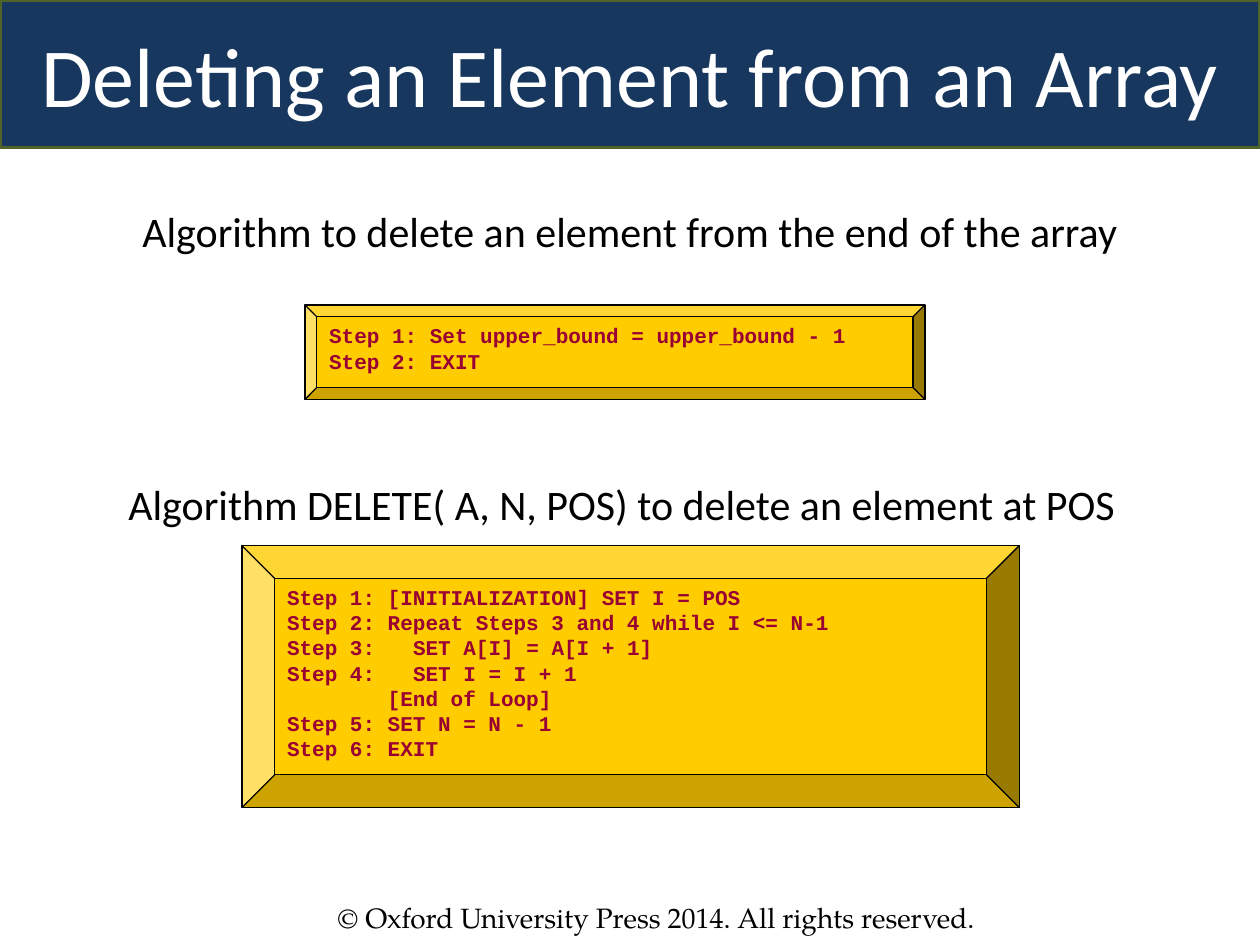
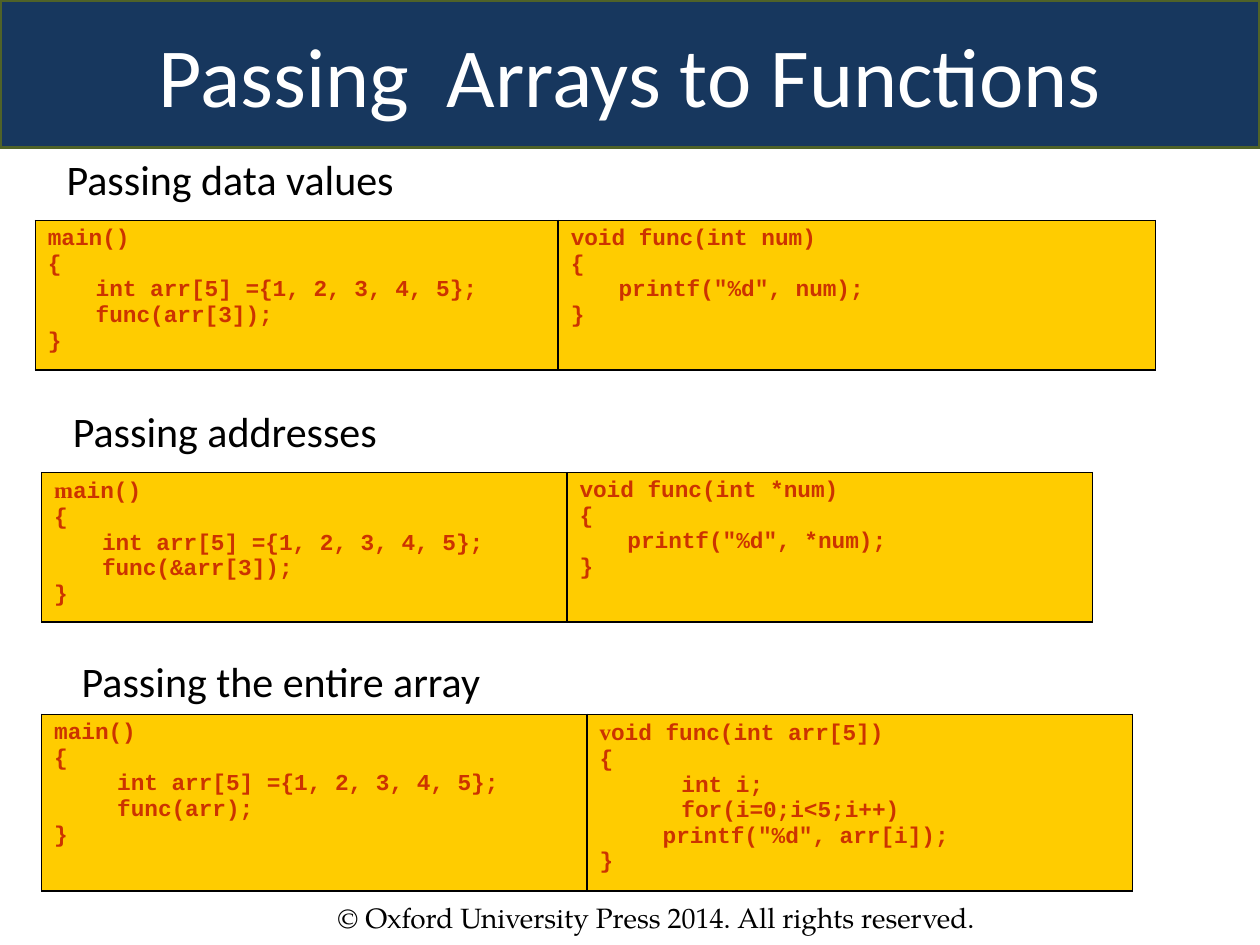
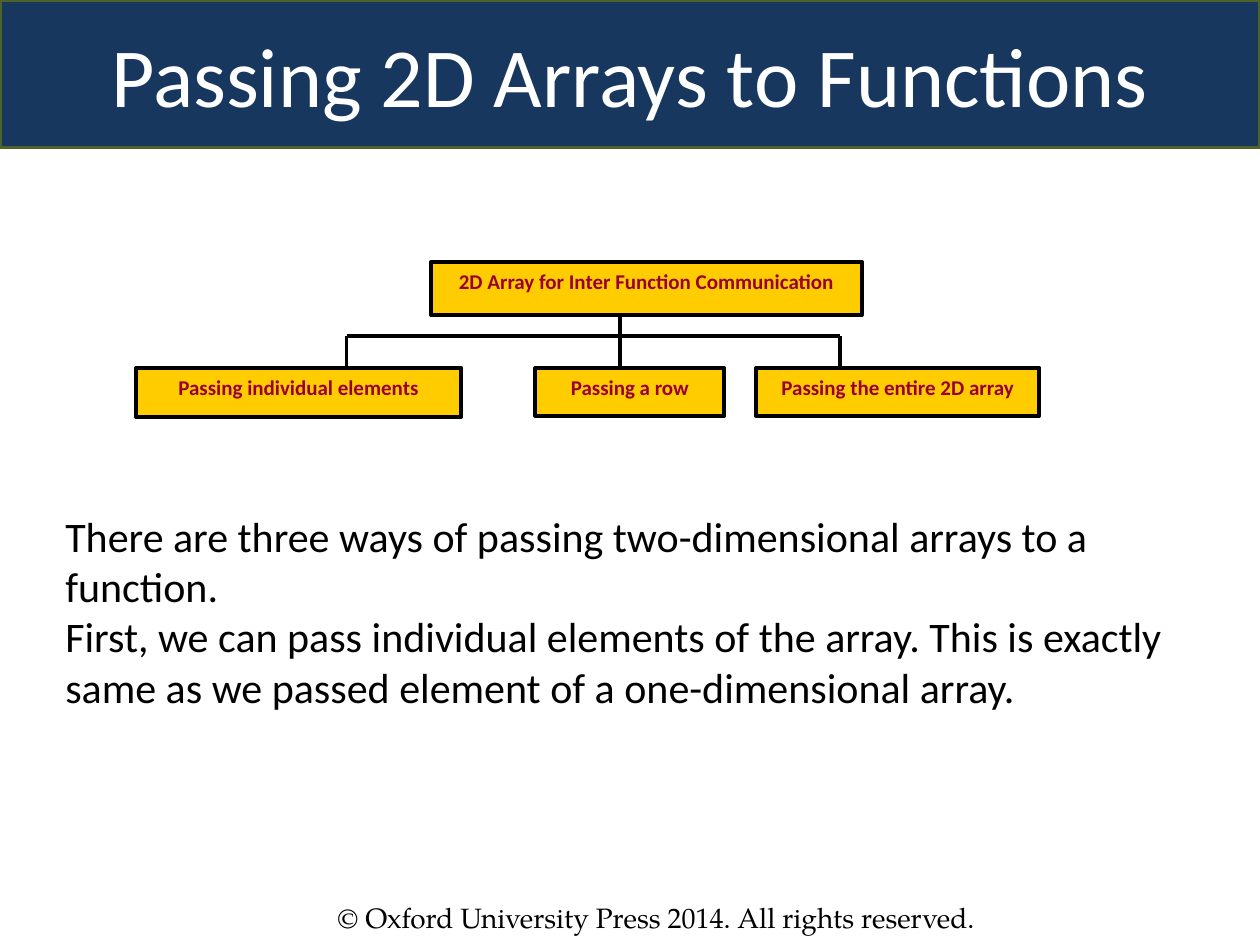
import pptx
import pptx.dml.color
import pptx.enum.shapes
import pptx.enum.text
import pptx.oxml
import pptx.util
from pptx.util import Inches

SHAPE = pptx.enum.shapes.MSO_SHAPE
ALIGN = pptx.enum.text.PP_ALIGN
ANCHOR = pptx.enum.text.MSO_ANCHOR
NS = 'xmlns:a="http://schemas.openxmlformats.org/drawingml/2006/main"'

NAVY, OLIVE, GOLD = "17375E", "4F6228", "FFCC00"
MAROON, RUST = "990033", "CC3300"
BLACK, WHITE = "000000", "FFFFFF"
SANS, MONO, SERIF, FOOT = "Calibri", "Courier New", "Times New Roman", "TeX Gyre Pagella"


def rgb(hex_string):
    return pptx.dml.color.RGBColor.from_string(hex_string)


class Deck:
    """Holds the shared style and the slide being built."""

    def __init__(self):
        self.prs = pptx.Presentation()
        self.prs.slide_width, self.prs.slide_height = Inches(10), Inches(7.5)
        self.s = None

    def slide(self, title):
        self.s = self.prs.slides.add_slide(self.prs.slide_layouts[6])
        self.text(2.58, 7.1, 5.92, 0.37,
                  ["© Oxford University Press 2014. All rights reserved."], 16, FOOT)
        band = self.shape(SHAPE.ROUNDED_RECTANGLE, 0, 0, 10, 1.17, NAVY, OLIVE, 2)
        band.adjustments[0] = 0
        band.text_frame.vertical_anchor = ANCHOR.MIDDLE
        self.fill_text(band.text_frame, [title], 48, SANS, WHITE, align=ALIGN.CENTER)

    def fill_text(self, tf, lines, size, font, color, bold=False,
                  align=ALIGN.LEFT, hang=0, serif_initial=False):
        tf.word_wrap = True
        for i, line in enumerate(lines):
            p = tf.paragraphs[0] if i == 0 else tf.add_paragraph()
            p.alignment = align
            if hang:
                pPr = p._p.get_or_add_pPr()
                pPr.set("marL", str(Inches(hang)))
                pPr.set("indent", str(-Inches(hang)))
            if serif_initial and i == 0:
                for part, face in ((line[0], SERIF), (line[1:], font)):
                    r = p.add_run()
                    r.text, r.font.name = part, face
            else:
                p.add_run().text = line
                p.font.name = font
            p.font.size = pptx.util.Pt(size)
            p.font.bold = bold
            p.font.color.rgb = rgb(color)

    def text(self, x, y, w, h, lines, size=24, font=SANS, align=ALIGN.LEFT):
        sp = self.s.shapes.add_textbox(Inches(x), Inches(y), Inches(w), Inches(h))
        self.fill_text(sp.text_frame, lines, size, font, BLACK, align=align)

    def shape(self, kind, x, y, w, h, fill, line, width):
        sp = self.s.shapes.add_shape(kind, Inches(x), Inches(y), Inches(w), Inches(h))
        sp.shadow.inherit = False
        sp.fill.solid()
        sp.fill.fore_color.rgb = rgb(fill)
        sp.line.color.rgb = rgb(line)
        sp.line.width = pptx.util.Pt(width)
        sp.text_frame.vertical_anchor = ANCHOR.TOP
        return sp

    def algorithm(self, x, y, w, h, steps):
        sp = self.shape(SHAPE.BEVEL, x, y, w, h, GOLD, BLACK, 0.75)
        self.fill_text(sp.text_frame, steps, 12, MONO, MAROON, bold=True)

    def node(self, x, y, w, h, label):
        sp = self.shape(SHAPE.RECTANGLE, x, y, w, h, GOLD, BLACK, 2.25)
        self.fill_text(sp.text_frame, [label], 12, SANS, MAROON, True, ALIGN.CENTER)

    def line(self, x1, y1, x2, y2):
        c = self.s.shapes.add_connector(pptx.enum.shapes.MSO_CONNECTOR.STRAIGHT,
                                        Inches(x1), Inches(y1), Inches(x2), Inches(y2))
        c.line.color.rgb = rgb(BLACK)
        c.line.width = pptx.util.Pt(2.25)
        c._element.spPr.append(pptx.oxml.parse_xml(f"<a:effectLst {NS}/>"))

    def code_table(self, x, y, widths, h, listings, hang=0, serif_column=None):
        table = self.s.shapes.add_table(1, len(widths), Inches(x), Inches(y),
                                        Inches(sum(widths)), Inches(h)).table
        table.first_row = table.horz_banding = False
        for i, (w, listing) in enumerate(zip(widths, listings)):
            table.columns[i].width = Inches(w)
            cell = table.cell(0, i)
            cell.fill.solid()
            cell.fill.fore_color.rgb = rgb(GOLD)
            self.fill_text(cell.text_frame, listing, 13, MONO, RUST, True,
                           hang=hang, serif_initial=i == serif_column)
            tcPr = cell._tc.get_or_add_tcPr()
            for k, side in enumerate("LRTB"):
                tcPr.insert(k, pptx.oxml.parse_xml(
                    f'<a:ln{side} {NS} w="12700"><a:solidFill>'
                    f'<a:srgbClr val="{BLACK}"/></a:solidFill></a:ln{side}>'))


def main():
    deck = Deck()

    # Deleting: two algorithms
    deck.slide("Deleting an Element from an Array")
    deck.text(1, 1.58, 8, 0.42,
              ["Algorithm to delete an element from the end of the array"],
              align=ALIGN.CENTER)
    deck.algorithm(2.42, 2.42, 4.92, 0.75, [
        "Step 1: Set upper_bound = upper_bound - 1",
        "Step 2: EXIT"])
    deck.text(0.92, 3.75, 8.04, 0.5,
              ["Algorithm DELETE( A, N, POS) to delete an element at POS"])
    deck.algorithm(1.92, 4.33, 6.17, 2.08, [
        "Step 1: [INITIALIZATION] SET I = POS",
        "Step 2: Repeat Steps 3 and 4 while I <= N-1",
        "Step 3: \tSET A[I] = A[I + 1]",
        "Step 4: \tSET I = I + 1",
        "        [End of Loop]",
        "Step 5: SET N = N - 1",
        "Step 6: EXIT"])

    # Passing arrays: caller and function side by side
    def caller(call):
        return ["main()", "{", "\tint arr[5] ={1, 2, 3, 4, 5};", f"\t{call};", "}"]

    def printer(param, value):
        return [f"void func(int {param})", "{", f'\tprintf("%d", {value});', "}"]

    deck.slide("Passing  Arrays to Functions")
    deck.text(0.43, 1.17, 2.82, 0.5, ["Passing data values"])
    deck.code_table(0.28, 1.75, [4.15, 4.74], 1.18,
                    [caller("func(arr[3])"), printer("num", "num")], hang=0.38)
    deck.text(0.48, 3.17, 2.77, 0.5, ["Passing addresses"])
    deck.code_table(0.33, 3.75, [4.17, 4.17], 1.18,
                    [caller("func(&arr[3])"), printer("*num", "*num")],
                    hang=0.38, serif_column=0)
    deck.text(0.55, 5.15, 3.47, 0.5, ["Passing the entire array"])
    deck.code_table(0.33, 5.67, [4.33, 4.33], 1.4, [
        caller("func(arr)"),
        ["void func(int arr[5])", "{", "      int i;", "      for(i=0;i<5;i++)",
         '\tprintf("%d", arr[i]);', "}"]], serif_column=1)

    # Passing 2D arrays: tree of the three ways
    deck.slide("Passing 2D Arrays to Functions")
    left, trunk, right, bar = 2.75, 4.92, 6.67, 2.67
    for x in (left, right):
        deck.line(x, bar, x, 2.92)
    deck.line(trunk, 2.42, trunk, 2.96)
    deck.line(left, bar, right, bar)
    deck.node(3.42, 2.08, 3.42, 0.42, "2D Array for Inter Function Communication")
    for x, w, h, label in ((1.08, 2.58, 0.39, "Passing individual elements"),
                           (4.25, 1.5, 0.38, "Passing a row"),
                           (6, 2.25, 0.38, "Passing the entire 2D array")):
        deck.node(x, 2.92, w, h, label)
    deck.text(0.42, 4, 9.33, 2.3, [
        "There are three ways of passing two-dimensional arrays to a function.",
        "First, we can pass individual elements of the array. This is exactly "
        "same as we passed element of a one-dimensional array."])

    deck.prs.save("out.pptx")


if __name__ == "__main__":
    main()
